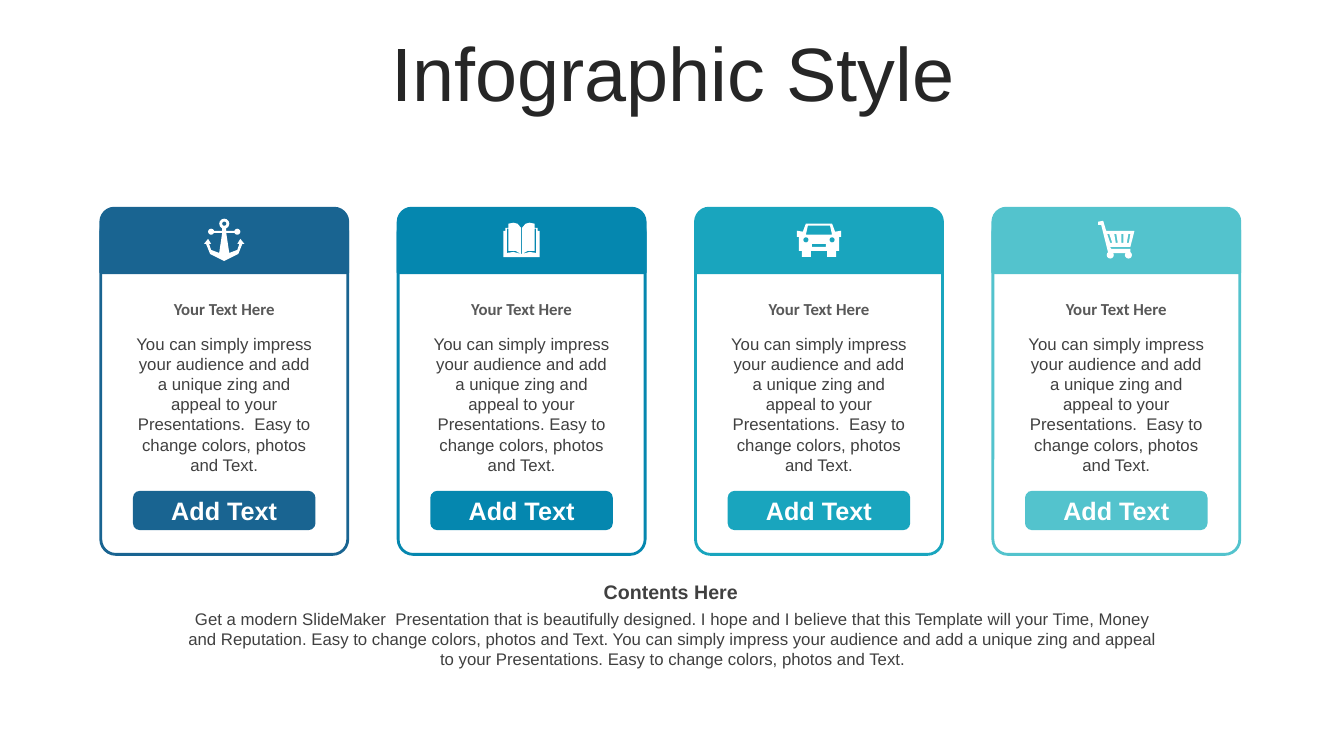
import pptx
import pptx.util
import pptx.dml.color
import pptx.enum.shapes
import pptx.enum.text

Pt = pptx.util.Pt
SHAPE = pptx.enum.shapes.MSO_SHAPE
MIDDLE = pptx.enum.text.MSO_ANCHOR.MIDDLE
TOP = pptx.enum.text.MSO_ANCHOR.TOP

# Content
TITLE = "Infographic Style"
HEAD = "Your Text Here"
BUTTON = "Add Text"
BODY = ("You can simply impress your audience and add a unique zing and appeal "
        "to your Presentations.{gap}Easy to change colors, photos and Text.")
CARDS = [  # colour, icon, gap between the sentences
    ("196491", "anchor", "  "),
    ("0587AF", "book", " "),
    ("19A5BE", "car", "  "),
    ("53C3CD", "cart", "  "),
]
FOOT_HEAD = "Contents Here"
FOOT = ("Get a modern SlideMaker  Presentation that is beautifully designed. "
        "I hope and I believe that this Template will your Time, Money and "
        "Reputation. Easy to change colors, photos and Text. You can simply "
        "impress your audience and add a unique zing and appeal to your "
        "Presentations. Easy to change colors, photos and Text.")

THEME = {
    "font": "Arial", "alt": "Calibri",
    "white": "FFFFFF", "title": "262626", "head": "595959", "body": "404040",
    "big": 54, "button": 18, "sub": 14, "small": 12, "line": 2,
}

# Icons in units of 0.72 pt, x from the card's middle, y from the icon's top.
# "half" is joined to its mirror, "pair" repeated mirrored, "whole" kept.
ICONS = {  # top in points, outlines, dots (x, y, radius, ink)
    "anchor": (156.2, [
        ("half", [(0, 7), (2, 9), (2, 12), (13, 12), (13, 14), (2, 14), (5, 34),
                  (13, 31), (15, 25), (13, 25), (16, 20), (20, 25), (18, 25),
                  (14, 35), (0, 42)])],
        [(0, 5, 5, "white"), (0, 5, 2, "tone"),
         (-13, 13, 3, "white"), (13, 13, 3, "white")]),
    "book": (159.1, [
        ("half", [(0, 31), (0.5, 31), (0.5, 5), (4, 1), (8, 0), (13, 1), (13, 5),
                  (16, 5), (16, 8), (18, 8), (18, 34), (0, 34)]),
        ("pair", [(0.5, 31), (6, 28), (13, 28), (13, 6), (14.5, 6),
                  (14.5, 30), (8, 29)])], []),
    "car": (159.8, [
        ("half", [(0, 0), (13, 0), (16, 8), (22, 7), (22, 13), (20, 13),
                  (20, 27), (17, 27), (17, 33), (8, 33), (8, 27), (0, 27)]),
        ("half", [(0, 2), (11, 2), (13, 11), (0, 11)]),
        ("half", [(0, 20), (7, 20), (7, 23), (0, 23)])],
        [(-13, 16, 2.5, "tone"), (13, 16, 2.5, "tone")]),
    "cart": (157.7, [
        ("whole", [(-18, 1), (-13, 0), (-10, 10), (18, 10), (14, 26), (-6, 26),
                   (-5, 28), (14, 28), (14, 32), (-8, 32), (-15, 4), (-18, 4)])]
        + [("whole", [(7 * k - 9, 13), (7 * k - 7, 13),
                      (5.5 * k - 4, 22), (5.5 * k - 6, 22)]) for k in range(4)],
        [(-6, 34, 3.5, "white"), (12, 34, 3.5, "white")]),
}
UNIT = 0.72

# Card grid, in points
LEFT, STEP, WIDE = 72, 212.4, 176.4

deck = pptx.Presentation()
deck.slide_width, deck.slide_height = Pt(960), Pt(540)
page = deck.slides.add_slide(deck.slide_layouts[6])


def color(name):
    return pptx.dml.color.RGBColor.from_string(THEME.get(name, name))


def paint(shape, fill, line=None):
    shape.shadow.inherit = False
    shape.fill.solid()
    shape.fill.fore_color.rgb = color(fill)
    if line:
        shape.line.color.rgb = color(line)
        shape.line.width = Pt(THEME["line"])
    else:
        shape.line.fill.background()


def write(shape, text, size, ink, bold=False, font="font", anchor=TOP):
    frame = shape.text_frame
    frame.word_wrap = True
    frame.vertical_anchor = anchor
    frame.text = text
    para = frame.paragraphs[0]
    para.alignment = pptx.enum.text.PP_ALIGN.CENTER
    face = para.runs[0].font
    face.name, face.size, face.bold = THEME[font], Pt(THEME[size]), bold
    face.color.rgb = color(ink)
    return para


def label(box, *args, **style):
    return write(page.shapes.add_textbox(*map(Pt, box)), *args, **style)


def panel(kind, box, fill, line=None, bend=None):
    shape = page.shapes.add_shape(kind, *map(Pt, box))
    if bend:
        shape.adjustments[0] = bend
    paint(shape, fill, line)
    return shape


def draw(icon, mid, tone):
    """Draw an icon centred on mid: outlines as one shape, then dots."""
    top, parts, dots = ICONS[icon]
    loops = []
    for mode, half in parts:
        flip = [(-x, y) for x, y in reversed(half)]
        loops += {"half": [half + flip], "pair": [half, flip],
                  "whole": [half]}[mode]
    grain = 10
    loops = [[(x * grain, y * grain) for x, y in loop] for loop in loops]
    pen = page.shapes.build_freeform(*loops[0][0], scale=Pt(UNIT) / grain)
    for i, loop in enumerate(loops):
        if i:
            pen.move_to(*loop[0])
        pen.add_line_segments(loop[1:], close=True)
    paint(pen.convert_to_shape(Pt(mid), Pt(top)), "white")
    for x, y, r, ink in dots:
        box = (mid + (x - r) * UNIT, top + (y - r) * UNIT,
               2 * r * UNIT, 2 * r * UNIT)
        panel(SHAPE.OVAL, box, tone if ink == "tone" else ink)


# Title
para = label((25.2, 26.6, 911.5, 56.9), TITLE, "big", "title", anchor=MIDDLE)
para.line_spacing, para.space_before = 0.9, Pt(10)

# Cards
for i, (tone, icon, gap) in enumerate(CARDS):
    x = LEFT + i * STEP
    panel(SHAPE.ROUNDED_RECTANGLE, (x, 154.8, WIDE, 241.2), "white", tone, 0.061)
    panel(SHAPE.ROUND_2_SAME_RECTANGLE, (x, 148.7, WIDE, 46), tone, tone, 0.21)
    button = panel(SHAPE.ROUNDED_RECTANGLE, (x + 23, 350.6, 130.4, 28.1), tone,
                   bend=0.178)
    write(button, BUTTON, "button", "white", bold=True, anchor=MIDDLE)
    label((x + 15.1, 210.2, 146.2, 21.6), HEAD, "small", "head",
          bold=True, font="alt")
    label((x + 15.1, 234.7, 146.2, 94.3), BODY.format(gap=gap), "small", "body")
    draw(icon, x + WIDE / 2, tone)

# Footer
label((119.5, 410.4, 719.3, 24.5), FOOT_HEAD, "sub", "body", bold=True,
      anchor=MIDDLE)
label((121, 431.3, 719.3, 51.1), FOOT, "small", "body")

deck.save("out.pptx")
